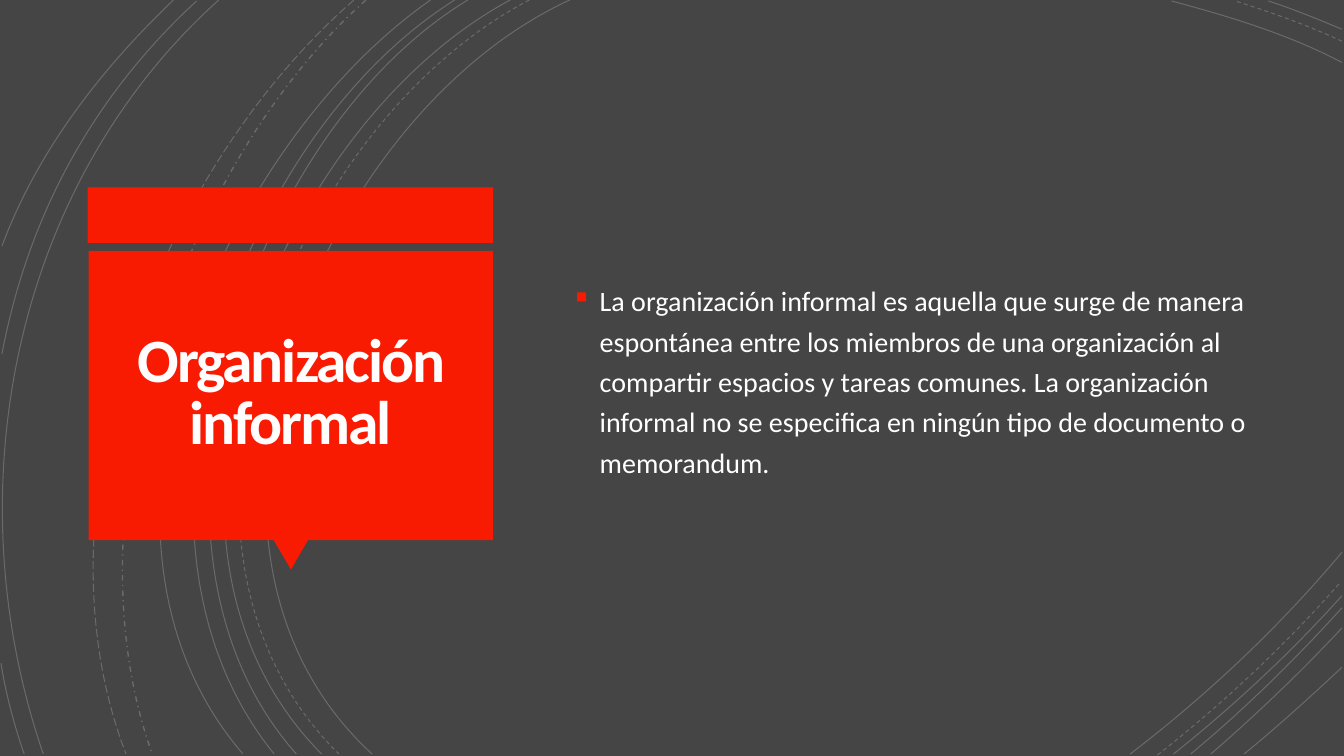
from lxml import etree
from pptx import Presentation
from pptx.dml.color import RGBColor
from pptx.enum import dml, shapes, text
from pptx.oxml import ns
from pptx.util import Inches, Pt

GREY = RGBColor(0x45, 0x45, 0x45)
RED = RGBColor(0xF8, 0x1B, 0x02)
WHITE = RGBColor(0xFF, 0xFF, 0xFF)
TITLE_WHITE = RGBColor(0xFF, 0xFE, 0xFF)

deck = Presentation()
deck.slide_width, deck.slide_height = Inches(13.33), Inches(7.5)
page = deck.slides.add_slide(deck.slide_layouts[6])
page.background.fill.solid()
page.background.fill.fore_color.rgb = GREY


def add_element(parent, tag, **attributes):
    return etree.SubElement(parent, ns.qn(tag), attributes)


def add_text(left, top, width, height, words, inset_x, inset_y):
    box = page.shapes.add_textbox(Inches(left), Inches(top), Inches(width), Inches(height))
    frame = box.text_frame
    frame.word_wrap = True
    frame.vertical_anchor = text.MSO_ANCHOR.MIDDLE
    frame.margin_left = frame.margin_right = Inches(inset_x)
    frame.margin_top = frame.margin_bottom = Inches(inset_y)
    para = frame.paragraphs[0]
    para.text = words
    para.font.name = "Calibri"
    return para


# Background arcs: Bezier start, two controls and end, grouped by dash style
DASHES = dml.MSO_LINE
arcs = {
    (DASHES.SOLID, 0.75): [
        ((5.65, 0), (3.15, 1.15), (1.43, 5.4), (3.69, 7.48)),
        ((13.31, 0.62), (12.78, 0.34), (12.18, 0.16), (11.62, 0.01)),
        ((11.21, 7.48), (11.97, 6.9), (12.69, 6.22), (13.31, 5.48)),
        ((5.06, 0), (2.7, 1.27), (1.1, 5.37), (3.19, 7.48)),
        ((13.31, 0.29), (13.07, 0.19), (12.83, 0.09), (12.58, 0.01)),
        ((11.64, 7.48), (12.23, 7.01), (12.8, 6.48), (13.31, 5.91)),
        ((4.64, 0), (2.44, 1.33), (1.1, 5.41), (2.94, 7.48)),
        ((11.81, 7.48), (12.34, 7.04), (12.84, 6.55), (13.31, 6.03)),
        ((4.51, 0), (2.31, 1.38), (0.97, 5.33), (2.72, 7.48)),
        ((12.01, 7.48), (12.46, 7.09), (12.9, 6.67), (13.31, 6.23)),
        ((4.27, 0), (2.17, 1.47), (0.53, 5.29), (2.41, 7.48)),
        ((12.34, 7.48), (12.67, 7.21), (12.99, 6.92), (13.31, 6.62)),
        ((2.17, 0), (0.11, 1.85), (-0.46, 4.9), (0.43, 7.48)),
        ((1.95, 0.01), (0.92, 0.96), (0.28, 2.14), (0.02, 3.51)),
        ((0.01, 6.58), (0.06, 6.89), (0.14, 7.19), (0.24, 7.48)),
        ((1.72, 0), (1, 0.69), (0.37, 1.5), (0.02, 2.44)),
    ],
    (DASHES.DASH, 0.75): [
        ((5.25, 0), (2.85, 1.25), (1.23, 5.37), (3.36, 7.48)),
        ((13.31, 0.41), (12.97, 0.25), (12.6, 0.12), (12.25, 0.01)),
        ((11.48, 7.49), (12.13, 6.98), (12.75, 6.4), (13.3, 5.77)),
    ],
    (DASHES.DASH_DOT, 1): [((3.63, 0), (1.76, 1.66), (0.65, 5.09), (1.51, 7.48))],
    (DASHES.LONG_DASH, 0.75): [((3.51, 0), (1.57, 1.69), (0.29, 4.99), (1.25, 7.48))],
}
for (dash, weight), curves in arcs.items():
    for curve in curves:
        start, *rest = [(Inches(x), Inches(y)) for x, y in curve]
        builder = page.shapes.build_freeform(*start)
        builder.add_line_segments(rest, close=False)
        arc = builder.convert_to_shape()
        # Turn the three straight pieces into one Bezier curve
        pieces = list(arc._element.iter(ns.qn("a:lnTo")))
        outline = pieces[0].getparent()
        bezier = add_element(outline, "a:cubicBezTo")
        for piece in pieces:
            bezier.append(piece[0])
            outline.remove(piece)
        arc.shadow.inherit = False
        arc.fill.background()
        arc.line.color.rgb = WHITE
        arc.line.width = Pt(weight)
        arc.line.dash_style = dash
        color = arc.line.fill._xPr.find(".//" + ns.qn("a:srgbClr"))
        add_element(color, "a:alpha", val="20000")

# Red title card: top band, pointer and panel
RECTANGLE = shapes.MSO_SHAPE.RECTANGLE
for kind, left, top, width, height, turn in (
    (RECTANGLE, 0.87, 1.86, 4.02, 0.55, 0),
    (shapes.MSO_SHAPE.ISOSCELES_TRIANGLE, 2.71, 5.35, 0.35, 0.3, 180),
    (RECTANGLE, 0.88, 2.49, 4.01, 2.87, 0),
):
    part = page.shapes.add_shape(kind, Inches(left), Inches(top), Inches(width), Inches(height))
    part.rotation = turn
    part.shadow.inherit = False
    part.fill.solid()
    part.fill.fore_color.rgb = RED
    part.line.fill.background()

# Title
title = add_text(0.97, 2.57, 3.83, 2.69, "Organización informal", 0.25, 0.25)
title.alignment = text.PP_ALIGN.CENTER
title.line_spacing = 0.85
title.font.size = Pt(44)
title.font.bold = True
title.font.color.rgb = TITLE_WHITE
title.runs[0].font._element.set("spc", "-150")

# Bulleted definition
body = add_text(
    5.6, 0.88, 6.87, 5.74,
    "La organización informal es aquella que surge de manera espontánea entre los miembros "
    "de una organización al compartir espacios y tareas comunes. La organización informal "
    "no se especifica en ningún tipo de documento o memorandum.", 0.1, 0.05)
body.line_spacing = 1.2
body.space_before = Pt(10)
body.font.size = Pt(20)
body.font.color.rgb = WHITE
settings = body._p.get_or_add_pPr()
settings.set("marL", str(Inches(0.25)))
settings.set("indent", str(Inches(-0.25)))
bullet_color = add_element(settings, "a:buClr")
add_element(bullet_color, "a:srgbClr", val=str(RED))
add_element(settings, "a:buSzPct", val="110000")
add_element(settings, "a:buFont", typeface="Wingdings")
add_element(settings, "a:buChar", char="§")  # a small square in Wingdings
settings.append(settings.find(ns.qn("a:defRPr")))  # font defaults follow the bullet

deck.save("out.pptx")
